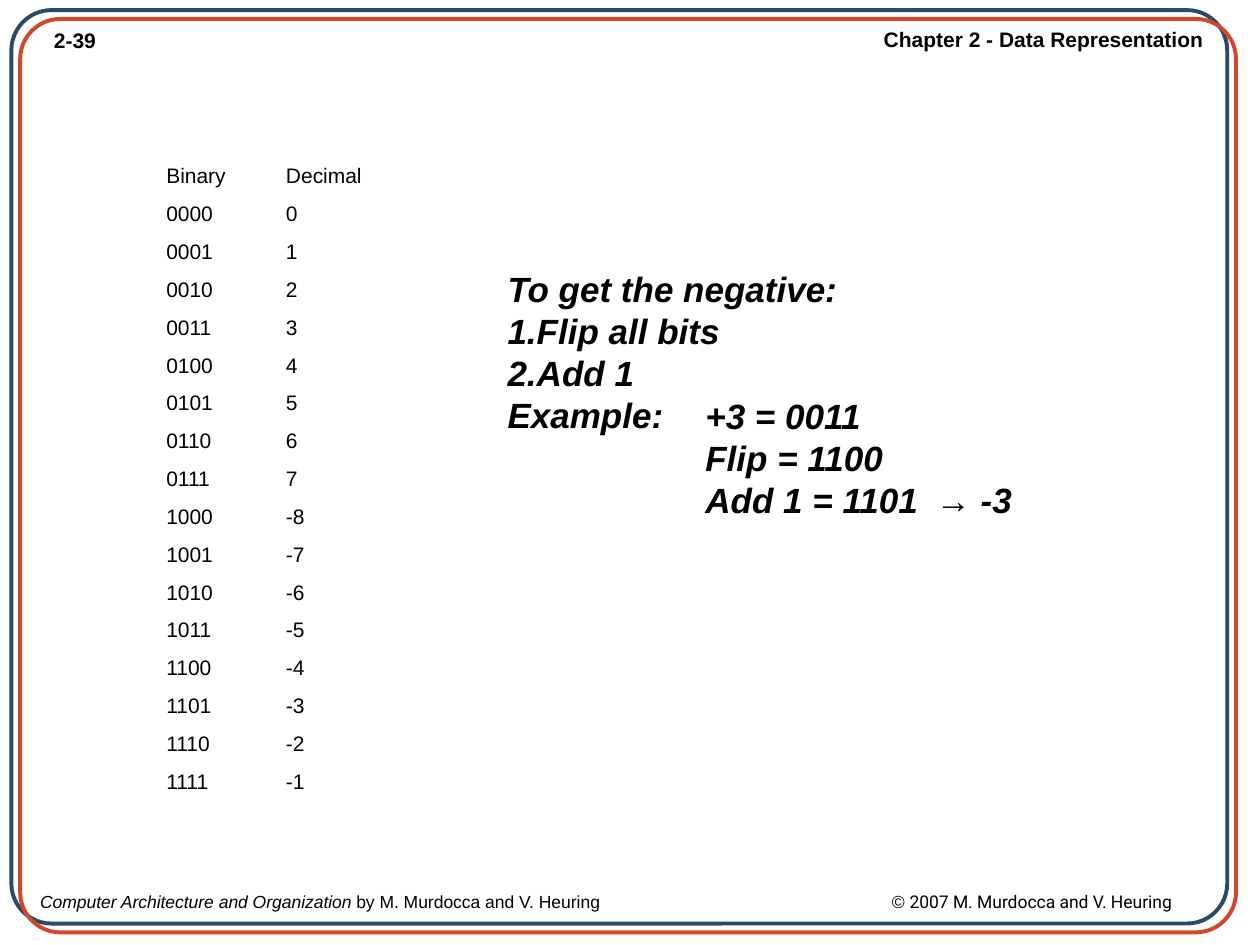
from lxml import etree
from pptx import Presentation
from pptx.dml.color import RGBColor
from pptx.enum.shapes import MSO_SHAPE
from pptx.enum.text import MSO_ANCHOR, PP_ALIGN
from pptx.oxml.ns import qn
from pptx.util import Inches, Pt

BLACK = RGBColor(0x00, 0x00, 0x00)
NAVY = RGBColor(0x2C, 0x4A, 0x66)
RED = RGBColor(0xD1, 0x47, 0x2B)
ROUND = MSO_SHAPE.ROUNDED_RECTANGLE
LEFT, RIGHT = PP_ALIGN.LEFT, PP_ALIGN.RIGHT
MIDDLE = MSO_ANCHOR.MIDDLE

PAGE = "2-39"
CHAPTER = "Chapter 2 - Data Representation"
FOOTER = [
    ("Computer Architecture and Organization ", {"italic": True}),
    ("by M. Murdocca and V. Heuring\t© ", {}),
    ("2007 M. Murdocca and V. Heuring", {"face": "Roboto"}),
]
STEPS = ["To get the negative:", "Flip all bits", "Add 1", "Example:"]
EXAMPLE = ["+3 = 0011", "Flip = 1100", "Add 1 = 1101\t→ -3"]
CODES = [("Binary", "Decimal")] + [
    (f"{n:04b}", str(n if n < 8 else n - 16)) for n in range(16)
]
FRAMES = [(0.09, 0.08, NAVY), (0.16, 0.15, RED)]


def write(frame, lines, size=12, face="Arial", bold=False, italic=False,
          align=LEFT, tab=None, listed=()):
    for i, line in enumerate(lines):
        para = frame.paragraphs[0] if i == 0 else frame.add_paragraph()
        para.alignment = align
        props = para._p.get_or_add_pPr()
        if i in listed:
            etree.SubElement(props, qn("a:buAutoNum"), type="arabicPeriod")
        if tab:
            tabs = etree.SubElement(props, qn("a:tabLst"))
            etree.SubElement(tabs, qn("a:tab"), pos=str(Inches(tab)), algn="l")
        for text, look in [(line, {})] if isinstance(line, str) else line:
            run = para.add_run()
            run.text = text
            font = run.font
            font.size = Pt(size)
            font.name = look.get("face", face)
            font.bold = bold
            font.italic = look.get("italic", italic)
            font.color.rgb = BLACK


def label(slide, place, lines, wrap=True, **look):
    box = slide.shapes.add_textbox(*map(Inches, place))
    box.text_frame.word_wrap = wrap
    write(box.text_frame, lines, **look)


def border(slide, left, top, color):
    edge = slide.shapes.add_shape(
        ROUND, Inches(left), Inches(top), Inches(9.65), Inches(7.25))
    edge.adjustments[0] = 0.044
    edge.shadow.inherit = False
    edge.fill.background()
    edge.line.color.rgb = color
    edge.line.width = Pt(2.25)


def chart_codes(slide, left, top, wide, high):
    rows, cols = len(CODES), len(CODES[0])
    table = slide.shapes.add_table(
        rows, cols, Inches(left), Inches(top),
        Inches(wide * cols), Inches(high * rows)).table
    table.first_row = False
    table.horz_banding = False
    for r, row in enumerate(CODES):
        table.rows[r].height = Inches(high)
        for c, text in enumerate(row):
            cell = table.cell(r, c)
            cell.fill.background()
            cell.vertical_anchor = MIDDLE
            cell.margin_left = cell.margin_right = Inches(0.07)
            cell.margin_top = cell.margin_bottom = Inches(0.05)
            write(cell.text_frame, [text])


def main():
    deck = Presentation()
    deck.slide_width, deck.slide_height = Inches(10), Inches(7.5)
    slide = deck.slides.add_slide(deck.slide_layouts[6])
    label(slide, (0.33, 0.17, 0.56, 0.3), [PAGE], bold=True)
    label(slide, (6.91, 0.16, 2.74, 0.3), [CHAPTER], wrap=False,
          bold=True, align=RIGHT)
    label(slide, (0.22, 7.02, 9.78, 0.26), [FOOTER], size=10, tab=6.76)
    for left, top, color in FRAMES:
        border(slide, left, top, color)
    chart_codes(slide, 1.25, 1.25, 0.95, 0.3)
    strong = {"size": 20, "bold": True, "italic": True}
    label(slide, (3.93, 2.07, 5.4, 1.44), STEPS, listed=(1, 2), **strong)
    label(slide, (5.5, 3.08, 5, 1.1), EXAMPLE, tab=1.83, **strong)
    deck.save("out.pptx")


if __name__ == "__main__":
    main()
